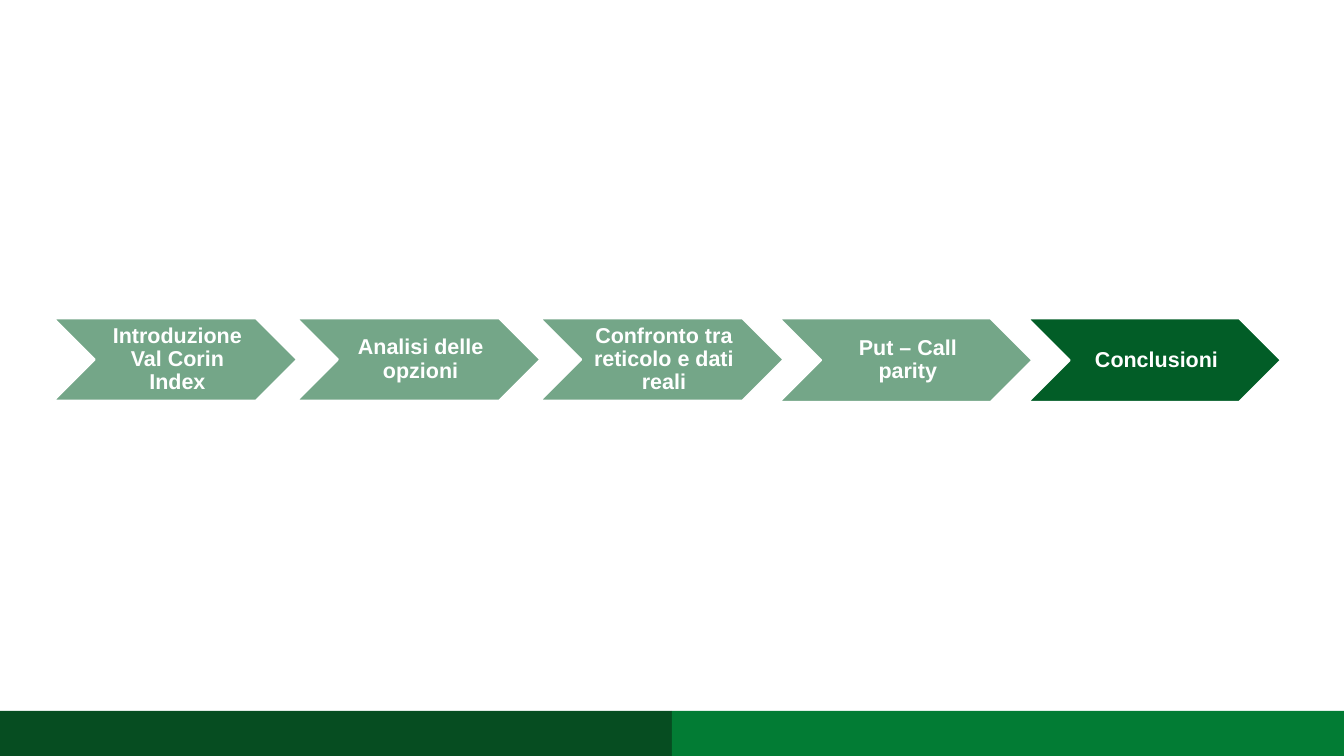
from dataclasses import dataclass

from lxml import etree
from pptx import Presentation
from pptx.dml.color import RGBColor
from pptx.enum.shapes import MSO_SHAPE
from pptx.enum.text import MSO_ANCHOR, PP_ALIGN
from pptx.oxml.ns import qn
from pptx.shapes.autoshape import Shape
from pptx.slide import Slide
from pptx.util import Inches, Pt

RECTANGLE = MSO_SHAPE.RECTANGLE
CHEVRON = MSO_SHAPE.CHEVRON
MIDDLE = MSO_ANCHOR.MIDDLE
CENTER = PP_ALIGN.CENTER

WHITE = RGBColor(0xFF, 0xFF, 0xFF)
STEP_GREEN = RGBColor(0x02, 0x5D, 0x27)
FOOTER_DARK = RGBColor(0x06, 0x4D, 0x21)
FOOTER_LIGHT = RGBColor(0x02, 0x7C, 0x34)

SLIDE_WIDTH = 10
SLIDE_HEIGHT = SLIDE_WIDTH * 9 / 16
FOOTER_TOP = 5.29
FOOTER_HEIGHT = SLIDE_HEIGHT - FOOTER_TOP
STEP_TOP = 2.37
FADED_OPACITY = 55

FRAME_FORMAT = {
    "word_wrap": True,
    "vertical_anchor": MIDDLE,
    "margin_left": Inches(0.05),
    "margin_top": Inches(0.02),
    "margin_right": Inches(0.02),
    "margin_bottom": Inches(0.02),
}
PARAGRAPH_FORMAT = {"alignment": CENTER, "line_spacing": 0.9}
FONT_FORMAT = {"name": "Arial", "size": Pt(11.5), "bold": True}


@dataclass(frozen=True)
class StepGroup:
    left: float
    pitch: float
    width: float
    height: float
    labels: tuple[str, ...]


AGENDA = (
    StepGroup(0.4, 1.81, 1.81, 0.61, (
        "Introduzione Val Corin Index",
        "Analisi delle opzioni",
        "Confronto tra reticolo e dati reali",
    )),
    StepGroup(5.8, 1.85, 1.88, 0.62, ("Put – Call parity", "Conclusioni")),
)
CURRENT_STEP = "Conclusioni"


def apply_format(target: object, values: dict[str, object]) -> None:
    for attribute, value in values.items():
        setattr(target, attribute, value)


def add_filled(slide: Slide, preset: int, left: float, top: float,
               width: float, height: float, color: RGBColor) -> Shape:
    shape = slide.shapes.add_shape(
        preset, Inches(left), Inches(top), Inches(width), Inches(height))
    shape.shadow.inherit = False
    shape.fill.solid()
    shape.fill.fore_color.rgb = color
    shape.line.fill.background()
    return shape


def set_opacity(shape: Shape, percent: int) -> None:
    fill_color = shape.element.spPr.find(qn("a:solidFill"))[0]
    etree.SubElement(fill_color, qn("a:alpha"), val=str(percent * 1000))


def add_step(slide: Slide, group: StepGroup, index: int, label: str) -> None:
    step = add_filled(slide, CHEVRON, group.left + index * group.pitch,
                      STEP_TOP, group.width, group.height, STEP_GREEN)
    step.line.color.rgb = WHITE
    step.line.width = Pt(1)
    if label != CURRENT_STEP:
        set_opacity(step, FADED_OPACITY)
    frame = step.text_frame
    apply_format(frame, FRAME_FORMAT)
    paragraph = frame.paragraphs[0]
    apply_format(paragraph, PARAGRAPH_FORMAT)
    run = paragraph.add_run()
    run.text = label
    apply_format(run.font, FONT_FORMAT)
    run.font.color.rgb = WHITE


def main() -> None:
    presentation = Presentation()
    presentation.slide_width = Inches(SLIDE_WIDTH)
    presentation.slide_height = Inches(SLIDE_HEIGHT)
    slide = presentation.slides.add_slide(presentation.slide_layouts[6])

    half = SLIDE_WIDTH / 2
    for side, color in enumerate((FOOTER_DARK, FOOTER_LIGHT)):
        add_filled(slide, RECTANGLE, side * half, FOOTER_TOP,
                   half, FOOTER_HEIGHT, color)
    for group in AGENDA:
        for index, label in enumerate(group.labels):
            add_step(slide, group, index, label)

    presentation.save("out.pptx")


if __name__ == "__main__":
    main()
